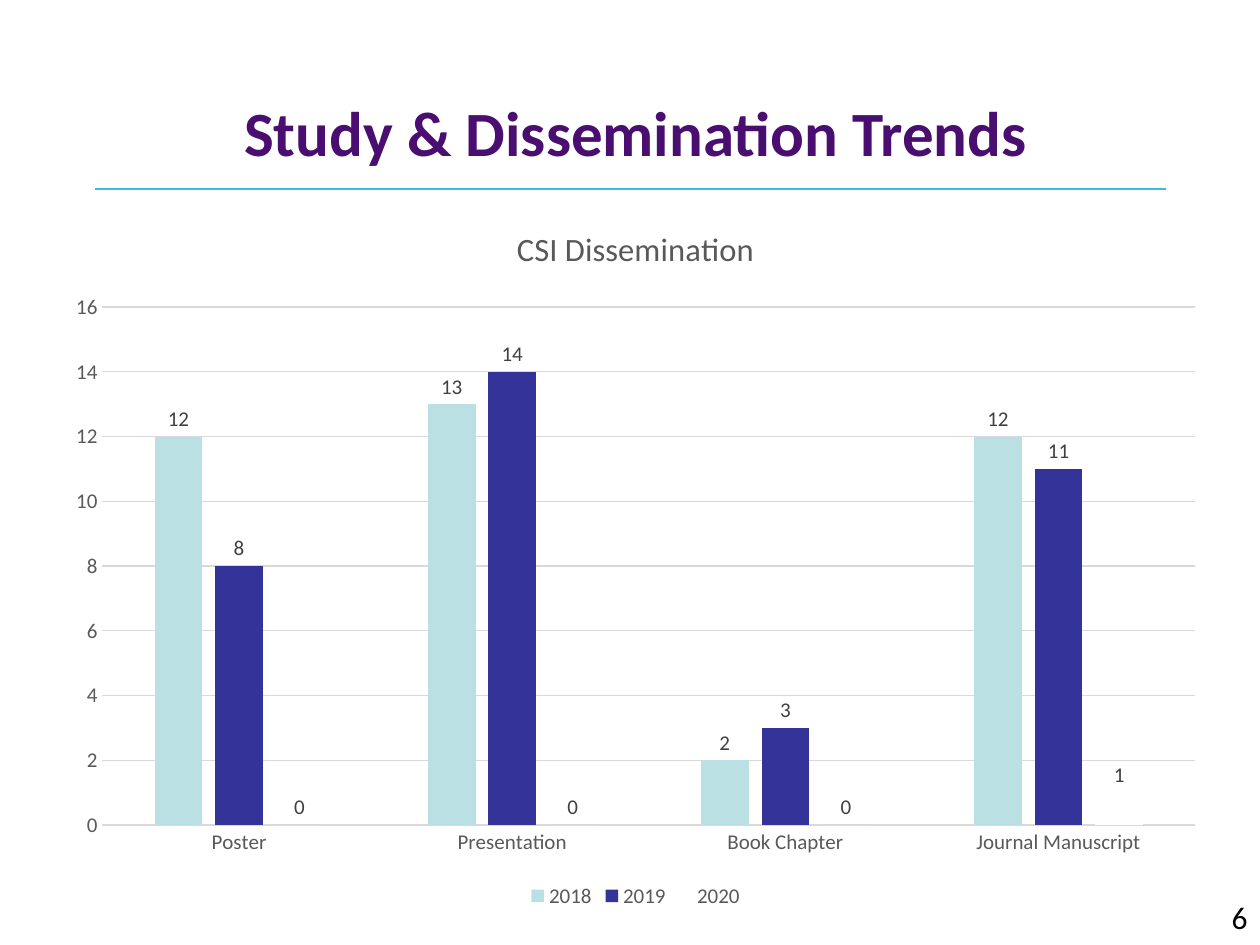
from pptx import Presentation
from pptx.chart import data
from pptx.dml.color import RGBColor
from pptx.enum import chart as charts, shapes, text
from pptx.oxml.ns import qn
from pptx.util import Inches, Pt
from lxml import etree

COLORS = {
    "title": "490E6F", "rule": "3DB7E4", "grid": "D9D9D9",
    "axis": "595959", "label": "404040", "black": "000000", "white": "FFFFFF",
}
SERIES = [
    ("2018", (12, 13, 2, 12), "BBE0E3"),
    ("2019", (8, 14, 3, 11), "333399"),
    ("2020", (0, 0, 0, 1), COLORS["white"]),
]


def style_font(font, size, color, bold=False):
    font.name = "Calibri"
    font.size = Pt(size)
    font.bold = bold
    font.color.rgb = RGBColor.from_string(color)


def write_text(frame, content, size, color, bold=False, align=text.PP_ALIGN.CENTER):
    para = frame.paragraphs[0]
    para.alignment = align
    span = para.add_run()
    span.text = content
    style_font(span.font, size, color, bold)


deck = Presentation()
deck.slide_width, deck.slide_height = Inches(10), Inches(7.5)
page = deck.slides.add_slide(deck.slide_layouts[5])
page.background.fill.solid()
page.background.fill.fore_color.rgb = RGBColor.from_string(COLORS["white"])

# Title
title = page.shapes.title
title.left, title.top = Inches(0.42), Inches(0.58)
title.width, title.height = Inches(9.25), Inches(0.92)
title.text_frame.vertical_anchor = text.MSO_ANCHOR.MIDDLE
write_text(title.text_frame, "Study & Dissemination Trends", 36, COLORS["title"], bold=True)

# Column chart
chart_data = data.CategoryChartData(number_format="General")
chart_data.categories = ["Poster", "Presentation", "Book Chapter", "Journal Manuscript"]
for name, values, color in SERIES:
    chart_data.add_series(name, values)
chart = page.shapes.add_chart(
    charts.XL_CHART_TYPE.COLUMN_CLUSTERED,
    Inches(0.42), Inches(1.58), Inches(9.25), Inches(5.67), chart_data,
).chart
style_font(chart.font, 10, COLORS["black"])
chart.has_title = True
write_text(chart.chart_title.text_frame, "CSI Dissemination", 18.6, COLORS["axis"])
chart.chart_title.include_in_layout = False

# Legend
chart.has_legend = True
chart.legend.position = charts.XL_LEGEND_POSITION.BOTTOM
chart.legend.include_in_layout = False
style_font(chart.legend.font, 12, COLORS["axis"])

# Axes
for axis in (chart.category_axis, chart.value_axis):
    axis.major_tick_mark = axis.minor_tick_mark = charts.XL_TICK_MARK.NONE
    style_font(axis.tick_labels.font, 12, COLORS["axis"])
chart.value_axis.format.line.fill.background()
chart.value_axis.minimum_scale = 0
chart.value_axis.maximum_scale = 16
chart.value_axis.major_unit = 2
for line in (chart.category_axis.format.line, chart.value_axis.major_gridlines.format.line):
    line.color.rgb = RGBColor.from_string(COLORS["grid"])
    line.width = Pt(0.75)

# Columns and their values
plot = chart.plots[0]
plot.gap_width = 219
plot.overlap = -27
plot.vary_by_categories = False
for series, (name, values, color) in zip(plot.series, SERIES):
    series.invert_if_negative = False
    series.format.fill.solid()
    series.format.fill.fore_color.rgb = RGBColor.from_string(color)
    labels = series.data_labels
    labels.show_value = True
    labels.position = charts.XL_LABEL_POSITION.OUTSIDE_END
    style_font(labels.font, 12, COLORS["label"])

# Page number
number = page.shapes.add_textbox(Inches(7.67), Inches(7.08), Inches(2.33), Inches(0.42))
number.text_frame.word_wrap = True
write_text(number.text_frame, "6", 18, COLORS["black"], align=text.PP_ALIGN.RIGHT)

# Rule under the title
rule = page.shapes.add_connector(
    shapes.MSO_CONNECTOR.STRAIGHT, Inches(0.75), Inches(1.5), Inches(9.25), Inches(1.5)
)
rule.line.color.rgb = RGBColor.from_string(COLORS["rule"])
rule.line.width = Pt(0.75)
etree.SubElement(rule._element.spPr, qn("a:effectLst"))

deck.save("out.pptx")
